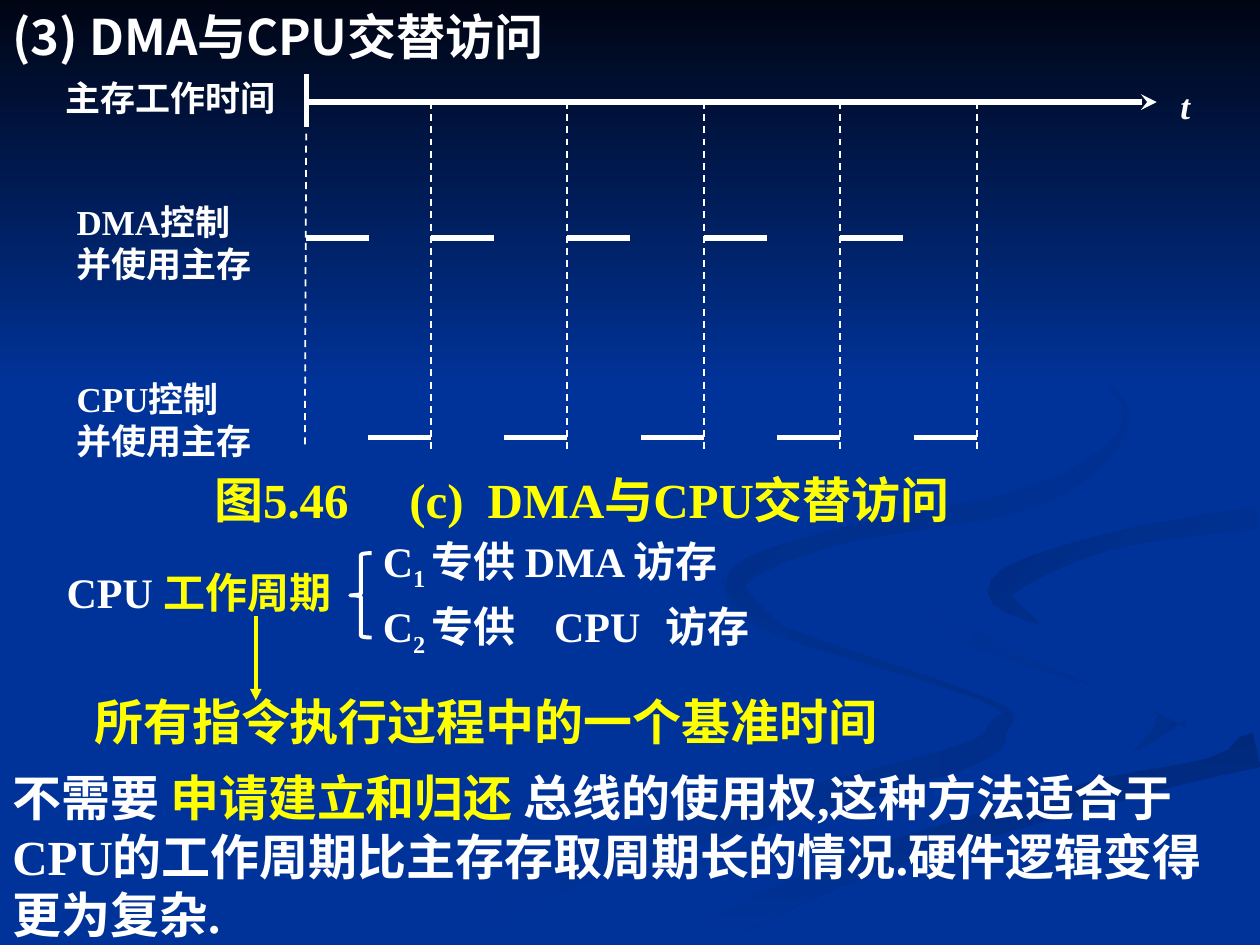
from dataclasses import dataclass
from math import hypot
from lxml import etree
from pptx import Presentation
from pptx import util as u
from pptx.dml.color import RGBColor
from pptx.enum import dml, shapes, text
from pptx.oxml.ns import qn


@dataclass(frozen=True)
class Theme:
    white: str = "FFFFFF"
    gold: str = "FFFF00"
    blue: str = "003399"
    night: str = "000514"
    shade: str = "002E8A"
    dusk: str = "00297C"
    deep: str = "002B81"
    serif: str = "Times New Roman"
    sans: str = "Noto Sans CJK SC"
    small: int = 20
    mid: int = 24
    big: int = 28
    thin: float = 1
    firm: float = 2.25
    bold: float = 3


T = Theme()


@dataclass(frozen=True)
class Ribbon:
    knots: tuple
    start: str
    end: str
    angle: int = 0


LOWER_TAIL = Ribbon(
    ((57.4, 46, 0.2), (60.8, 49.6, 0.8), (78.1, 55.5, 0.4), (79.2, 57.8, 1.6),
     (74.8, 60.6, 2), (48, 68, 2.6), (33, 74.9, 3)), T.shade, T.blue, 180)
RIGHT_HOOK = Ribbon(
    ((72.4, 46.4, 0.1), (76.3, 50.3, 1), (90.5, 55, 1.5), (92.9, 57.5, 2.4),
     (89.4, 60.5, 0.2)), T.shade, T.blue, 135)
DARK_SWEEP = Ribbon(
    ((53.7, 74.9, 3), (69.2, 68.1, 2.4), (91, 61.9, 2.1), (99.8, 59.5, 2.8)),
    T.dusk, T.blue, 270)
BLUE_VEIL = Ribbon(
    ((99.9, 39.5, 1.5), (76.5, 44.6, 3.5), (79.6, 49.8, 2.5), (96.5, 56.5, 5),
     (86, 61.9, 0.5), (66.3, 67.5, 1.4), (50, 74.9, 2)), T.blue, T.blue)
INNER_CURL = Ribbon(
    ((99.8, 41.1, 1.8), (88, 43, 1.3), (79.5, 46.6, 2), (82.6, 49.6, 0.1)),
    T.blue, T.deep, 135)
UPPER_CURL = Ribbon(
    ((76.2, 23.3, 0.1), (87, 29.7, 0.3), (89.1, 34.2, 0.6), (82.1, 39.4, 1.7),
     (66.5, 42.6, 1.2), (58.5, 46, 1.6), (62.2, 50, 0.1)), T.blue, T.deep, 135)
RIBBONS = (LOWER_TAIL, RIGHT_HOOK, DARK_SWEEP, BLUE_VEIL, INNER_CURL, UPPER_CURL)


def rgb(code):
    return RGBColor.from_string(code)


def curve(knots, steps=8):
    ends = [knots[0], *knots, knots[-1]]
    dots = []
    for a, b, c, d in zip(ends, ends[1:], ends[2:], ends[3:]):
        for k in range(steps):
            t = k / steps
            dots.append([q + t * (r - p) / 2
                         + t * t * (2 * p - 5 * q + 4 * r - s) / 2
                         + t ** 3 * (3 * q - p - 3 * r + s) / 2
                         for p, q, r, s in zip(a, b, c, d)])
    return dots + [list(knots[-1])]


def outline(knots):
    dots = curve(knots)
    near, far = [], []
    for back, (x, y, wide), ahead in zip(dots[:1] + dots, dots, dots[1:] + dots[-1:]):
        dx, dy = ahead[0] - back[0], ahead[1] - back[1]
        scale = wide / 2 / hypot(dx, dy)
        near.append((x - dy * scale, y + dx * scale))
        far.append((x + dy * scale, y - dx * scale))
    return near + far[::-1]


class Page:
    cols, rows = 100, 75

    def __init__(self, deck, theme):
        self.theme = theme
        self.unit = deck.slide_width / self.cols
        self.slide = deck.slides.add_slide(deck.slide_layouts[6])
        self.shapes = self.slide.shapes
        back = self.slide.background.fill
        back.solid()
        back.fore_color.rgb = rgb(theme.blue)

    def grid(self, *spans):
        return [u.Emu(round(span * self.unit)) for span in spans]

    def paint(self, shape, start, end, angle):
        shape.shadow.inherit = False
        shape.line.fill.background()
        if start == end:
            shape.fill.solid()
            shape.fill.fore_color.rgb = rgb(start)
            return
        shape.fill.gradient()
        shape.fill.gradient_angle = angle
        for stop, code in zip(shape.fill.gradient_stops, (start, end)):
            stop.color.rgb = rgb(code)

    def block(self, box, start, end, angle):
        shape = self.shapes.add_shape(shapes.MSO_SHAPE.RECTANGLE, *self.grid(*box))
        self.paint(shape, start, end, angle)

    def ribbon(self, band):
        first, *rest = [self.grid(min(x, self.cols), min(y, self.rows))
                        for x, y in outline(band.knots)]
        pen = self.shapes.build_freeform(*first)
        pen.add_line_segments(rest, close=True)
        self.paint(pen.convert_to_shape(), band.start, band.end, band.angle)

    def line(self, x1, y1, x2, y2, width=T.bold, color=T.white, dash=False, head=None):
        link = self.shapes.add_connector(
            shapes.MSO_CONNECTOR.STRAIGHT, *self.grid(x1, y1, x2, y2))
        link.line.width = u.Pt(width)
        link.line.color.rgb = rgb(color)
        if dash:
            link.line.dash_style = dml.MSO_LINE.DASH
        if head:
            etree.SubElement(link.line._get_or_add_ln(), qn("a:tailEnd"), type=head)
        etree.SubElement(link._element.spPr, qn("a:effectLst"))

    def brace(self, box):
        shape = self.shapes.add_shape(shapes.MSO_SHAPE.LEFT_BRACE, *self.grid(*box))
        shape.shadow.inherit = False
        shape.fill.background()
        shape.line.color.rgb = rgb(self.theme.white)
        shape.line.width = u.Pt(self.theme.firm)

    def text(self, box, paras, size, color=T.white, face=T.serif,
             wrap=True, italic=False, tabs=(), inset=1):
        frame = self.shapes.add_textbox(*self.grid(*box)).text_frame
        frame.word_wrap = wrap
        frame.auto_size = text.MSO_AUTO_SIZE.SHAPE_TO_FIT_TEXT
        frame.margin_left, = self.grid(inset)
        for i, runs in enumerate(paras):
            para = frame.paragraphs[0] if i == 0 else frame.add_paragraph()
            if tabs:
                stops = etree.SubElement(para._p.get_or_add_pPr(), qn("a:tabLst"))
                for stop in self.grid(*tabs):
                    etree.SubElement(stops, qn("a:tab"), pos=str(stop), algn="l")
            font = para.font
            font.size, font.bold, font.name = u.Pt(size), True, face
            font.italic = italic
            shades = {shade or color for _, shade, _ in runs}
            if len(shades) == 1:
                font.color.rgb = rgb(shades.pop())
            for words, shade, base in runs:
                run = para.add_run()
                run.text = words
                if shade:
                    run.font.color.rgb = rgb(shade)
                if base:
                    run.font._element.set("baseline", str(base * 1000))


def plain(*lines):
    return [[(words, None, 0)] for words in lines]


def scene(page):
    for band in RIBBONS:
        page.ribbon(band)
    page.block((0, 0, page.cols, 30.8), T.night, T.blue, 270)


def chart(page):
    left, first, step, pulse = 24.3, 34.2, 10.83, 5
    axis, upper, lower, foot = 8.1, 18.9, 34.7, 35.6
    page.line(left, 5.9, left, 10.1)
    page.line(left, axis, 91.8, axis, head="stealth")
    page.line(left, 10.6, 24.2, 35.4, T.thin, dash=True)
    ends = [first + step * i for i in range(5)]
    for start, end in zip([left] + ends, ends):
        page.line(end, axis, end, foot, T.thin, dash=True)
        page.line(start, upper, start + pulse, upper)
        page.line(end - pulse, lower, end, lower)
    page.text((4.2, 5.6, 18.7, 4.4), plain("主存工作时间"), T.small, wrap=False)
    for name, y in (("DMA", 15.4), ("CPU", 29.5)):
        page.text((5.1, y, 15.9, 7.7), plain(name + "控制", "并使用主存"),
                  T.small, wrap=False)
    page.text((92.7, 6.2, 2.7, 4.4), plain("t"), T.small, wrap=False, italic=True)


def notes(page):
    page.text((0, 0, 69.2, 5.7), plain("(3) DMA与CPU交替访问"), T.big, face=T.sans)
    page.text((4.7, 36.8, 85.7, 5.7), plain("图5.46\t(c)\tDMA与CPU交替访问"),
              T.big, T.gold, tabs=(15.5, 21.7), inset=12.3)
    page.text((4.3, 44.5, 25.2, 5), [[("CPU ", T.white, 0), ("工作周期", T.gold, 0)]],
              T.mid)
    for mark, words, y, wide in (("1 ", "专供 DMA 访存", 42, 44.2),
                                 ("2 ", "专供\tCPU\t访存", 47.2, 38.3)):
        page.text((29.4, y, wide, 5.6),
                  [[("C", None, 0), (mark, None, -25), (words, None, 0)]],
                  T.mid, tabs=(13.6, 22.4))
    page.brace((27.8, 43.9, 1.7, 6.7))
    page.text((6.5, 54.4, 76, 5.7), plain("所有指令执行过程中的一个基准时间"),
              T.big, T.gold)
    page.line(20.3, 48.9, 20.3, 55.6, T.firm, T.gold, head="triangle")
    page.text((0, 60.4, page.cols, 15), [[
        ("不需要 ", T.white, 0), ("申请建立和归还 ", T.gold, 0),
        ("总线的使用权,这种方法适合于CPU的工作周期比主存存取周期长的情况."
         "硬件逻辑变得更为复杂.", T.white, 0)]], T.big)


def main():
    deck = Presentation()
    deck.slide_width, deck.slide_height = u.Inches(10), u.Inches(7.5)
    page = Page(deck, T)
    scene(page)
    chart(page)
    notes(page)
    deck.save("out.pptx")


if __name__ == "__main__":
    main()
